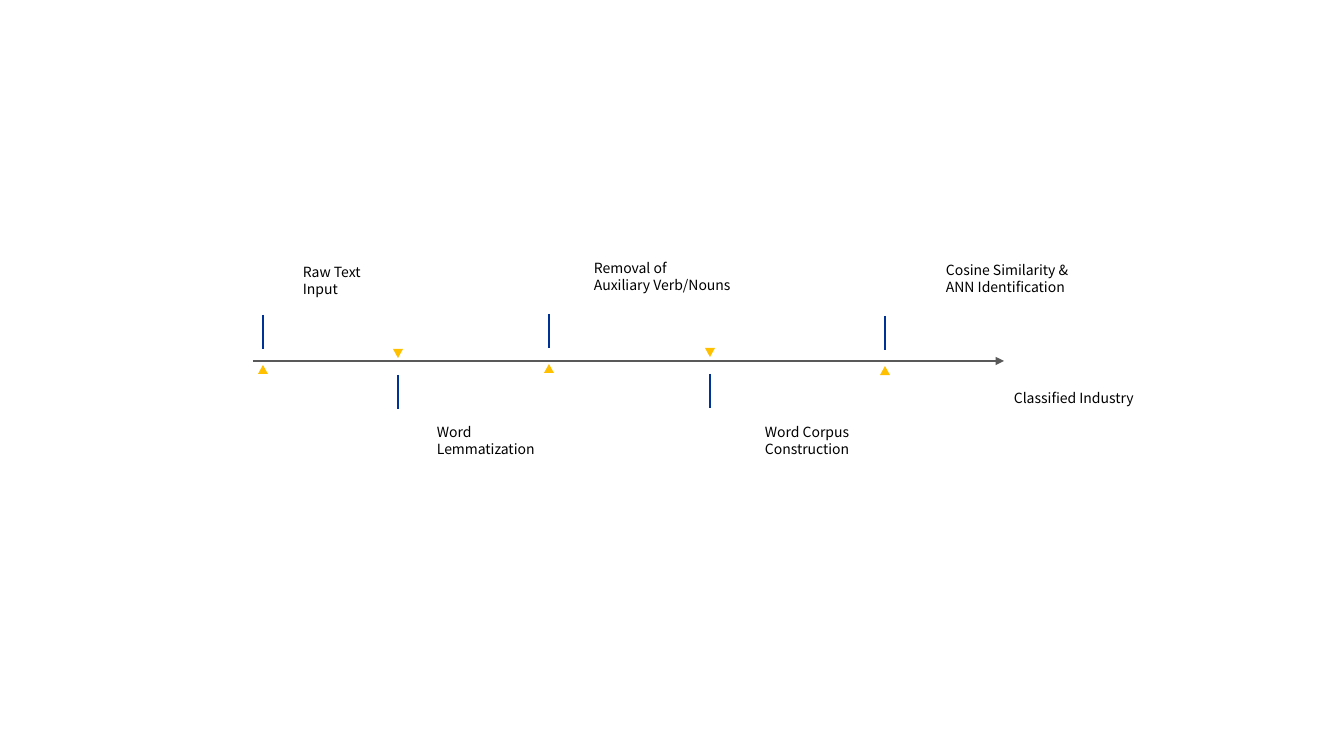
from dataclasses import dataclass
from pptx import Presentation
from pptx.dml.color import RGBColor as RGB
from pptx.enum.shapes import MSO_CONNECTOR as Link, MSO_SHAPE as Form
from pptx.enum.text import MSO_AUTO_SIZE as Auto
from pptx.oxml import parse_xml
from pptx.oxml.ns import nsdecls, qn
from pptx.util import Emu, Pt

SCALE = 914400 / 100.8


@dataclass(frozen=True)
class Theme:
    """Hold the colours, type and line sizes of the slide."""
    axis: RGB = RGB(0x59, 0x59, 0x59)
    tick: RGB = RGB(0x00, 0x31, 0x97)
    mark: RGB = RGB(0xFF, 0xC0, 0x00)
    ink: RGB = RGB(0x00, 0x00, 0x00)
    font: str = "Noto Sans CJK KR"
    size: int = 10
    thick: int = 2
    thin: int = 1


THEME = Theme()
AXIS = (253, 361, 1004, 361)
TICK = 34
STEPS = [
    (263, 315, True, "Raw Text\nInput", (293, 259, 90, 44)),
    (398, 375, False, "Word\nLemmatization", (427, 419, 140, 44)),
    (549, 314, True, "Removal of\nAuxiliary Verb/Nouns", (584, 255, 171, 44)),
    (710, 374, False, "Word Corpus Construction", (755, 419, 113, 44)),
    (885, 316, True, "Cosine Similarity & ANN Identification",
     (936, 257, 153, 44)),
]
RESULT = ("Classified Industry", (1004, 385, 146, 27))


def px(*vals):
    """Turn pixels into EMU."""
    return [Emu(round(val * SCALE)) for val in vals]


def apply(item, **vals):
    """Set each given value on the item."""
    for name, val in vals.items():
        setattr(item, name, val)


def rule(slide, ends, color, width, arrow=False):
    """Draw a straight line, with an arrowhead if asked."""
    line = slide.shapes.add_connector(Link.STRAIGHT, *px(*ends))
    line.line.color.rgb = color
    line.line.width = Pt(width)
    props = line._element.spPr
    if arrow:
        props.find(qn("a:ln")).append(
            parse_xml(f'<a:tailEnd {nsdecls("a")} type="triangle"/>'))
    props.append(parse_xml(f'<a:effectLst {nsdecls("a")}/>'))


def marker(slide, mid, top, up):
    """Draw a small triangle that points at the axis."""
    mark = slide.shapes.add_shape(
        Form.ISOSCELES_TRIANGLE, *px(mid - 5, top, 10, 9))
    mark.shadow.inherit = False
    mark.fill.solid()
    mark.fill.fore_color.rgb = THEME.mark
    mark.line.fill.background()
    mark.rotation = 0 if up else 180


def label(slide, text, area):
    """Write a label, one paragraph per line of text."""
    frame = slide.shapes.add_textbox(*px(*area)).text_frame
    apply(frame, text=text, word_wrap=True, auto_size=Auto.SHAPE_TO_FIT_TEXT)
    for para in frame.paragraphs:
        for run in para.runs:
            apply(run.font, name=THEME.font, size=Pt(THEME.size))
            run.font.color.rgb = THEME.ink


def step(slide, mid, top, up, text, area):
    """Draw one step: its tick, marker and label."""
    rule(slide, (mid, top, mid, top + TICK), THEME.tick, THEME.thin)
    marker(slide, mid, top + 50 if up else top - 26, up)
    label(slide, text, area)


def main():
    """Build the timeline and save it."""
    deck = Presentation()
    wide, high = px(1344, 756)
    apply(deck, slide_width=wide, slide_height=high)
    slide = deck.slides.add_slide(deck.slide_layouts[6])
    rule(slide, AXIS, THEME.axis, THEME.thick, arrow=True)
    for item in STEPS:
        step(slide, *item)
    label(slide, *RESULT)
    deck.save("out.pptx")


if __name__ == "__main__":
    main()
